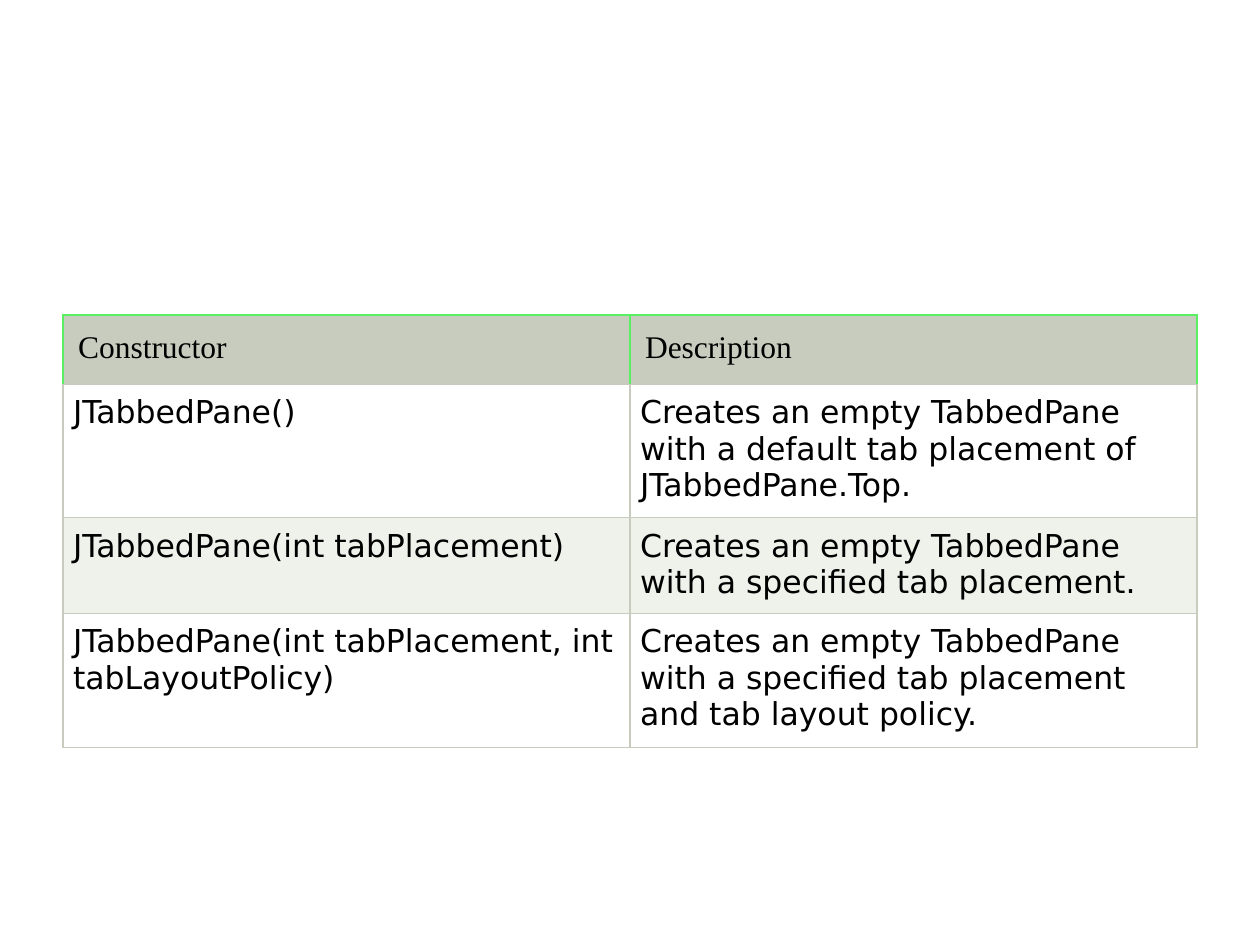
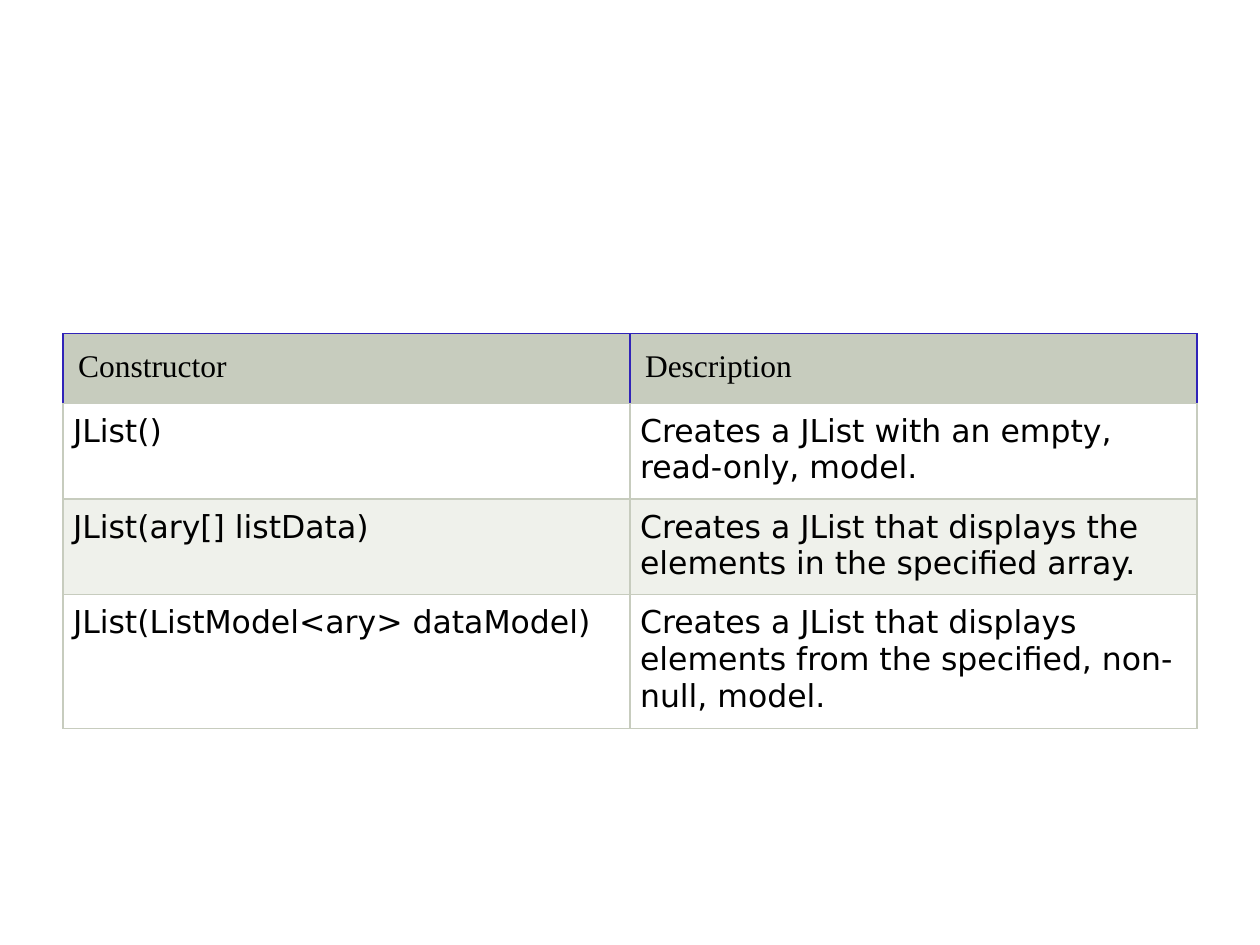
from lxml.etree import SubElement
from pptx import Presentation
from pptx.dml.color import RGBColor
from pptx.oxml.ns import qn
from pptx.util import Inches, Pt

BLACK = RGBColor(0x00, 0x00, 0x00)
WHITE = RGBColor(0xFF, 0xFF, 0xFF)
SAGE = RGBColor(0xC7, 0xCC, 0xBE)
PALE = RGBColor(0xEF, 0xF1, 0xEB)
GREEN = RGBColor(0x58, 0xEF, 0x62)
BLUE = RGBColor(0x30, 0x23, 0xB8)

COLS, ROWS = 20, 750
MID = 421.5
HEAD_ROW, LINE_ROW, PAD_ROW = 55, 30, 16

HEAD_FONT = {"name": "Times New Roman", "size": Pt(18), "bold": False}
BODY_FONT = {**HEAD_FONT, "name": "DejaVu Sans"}


def pads(inset):
    sides = ("left", "right", "top", "bottom")
    return {f"margin_{side}": Inches(inset) for side in sides}


class Deck:
    """Holds the table style, the grid and the current slide."""

    def __init__(self):
        self.show = Presentation()
        self.show.slide_width, self.show.slide_height = Inches(10), Inches(7.5)
        self.slide = None

    def page(self):
        self.slide = self.show.slides.add_slide(self.show.slide_layouts[6])

    def x(self, cols):
        return round(self.show.slide_width * cols / COLS)

    def y(self, rows):
        return round(self.show.slide_height * rows / ROWS)

    def edge(self, cell, colors):
        """Draw borders, coloured in the order left, right, top, bottom."""
        props = cell._tc.get_or_add_tcPr()
        for side, color in zip("LRTB", colors):
            line = SubElement(props, qn(f"a:ln{side}"), w=str(Pt(0.75)))
            fill = SubElement(line, qn("a:solidFill"))
            SubElement(fill, qn("a:srgbClr"), val=str(color))

    def cell(self, cell, text, font, inset, fill, edges):
        self.edge(cell, edges)
        for key, value in pads(inset).items():
            setattr(cell, key, value)
        cell.fill.solid()
        cell.fill.fore_color.rgb = fill
        run = cell.text_frame.paragraphs[0].add_run()
        run.text = text
        for key, value in font.items():
            setattr(run.font, key, value)
        run.font.color.rgb = BLACK

    def table(self, accent, items):
        """Centre a table of (constructor, description, line count) on MID."""
        heights = [HEAD_ROW] + [PAD_ROW + LINE_ROW * n for *_, n in items]
        total = sum(heights)
        grid = self.slide.shapes.add_table(
            len(heights), 2, self.x(1), self.y(MID - total / 2),
            self.x(18), self.y(total)).table
        for row, height in zip(grid.rows, heights):
            row.height = self.y(height)
        for col, text in enumerate(("Constructor", "Description")):
            self.cell(grid.cell(0, col), text, HEAD_FONT, 0.12, SAGE,
                      [accent] * 3 + [SAGE])
        for row, (*texts, _) in enumerate(items, 1):
            fill = WHITE if row % 2 else PALE
            for col, text in enumerate(texts):
                self.cell(grid.cell(row, col), text, BODY_FONT, 0.08, fill,
                          [SAGE] * 4)


TABLES = [
    (GREEN, [
        ("JTabbedPane()",
         "Creates an empty TabbedPane with a default tab placement of "
         "JTabbedPane.Top.", 3),
        ("JTabbedPane(int tabPlacement)",
         "Creates an empty TabbedPane with a specified tab placement.", 2),
        ("JTabbedPane(int tabPlacement, int tabLayoutPolicy)",
         "Creates an empty TabbedPane with a specified tab placement and "
         "tab layout policy.", 3),
    ]),
    (BLUE, [
        ("JList()", "Creates a JList with an empty, read-only, model.", 2),
        ("JList(ary[] listData)",
         "Creates a JList that displays the elements in the specified "
         "array.", 2),
        ("JList(ListModel<ary> dataModel)",
         "Creates a JList that displays elements from the specified, "
         "non-null, model.", 3),
    ]),
]


def main():
    deck = Deck()
    for accent, items in TABLES:
        deck.page()
        deck.table(accent, items)
    deck.show.save("out.pptx")


if __name__ == "__main__":
    main()
